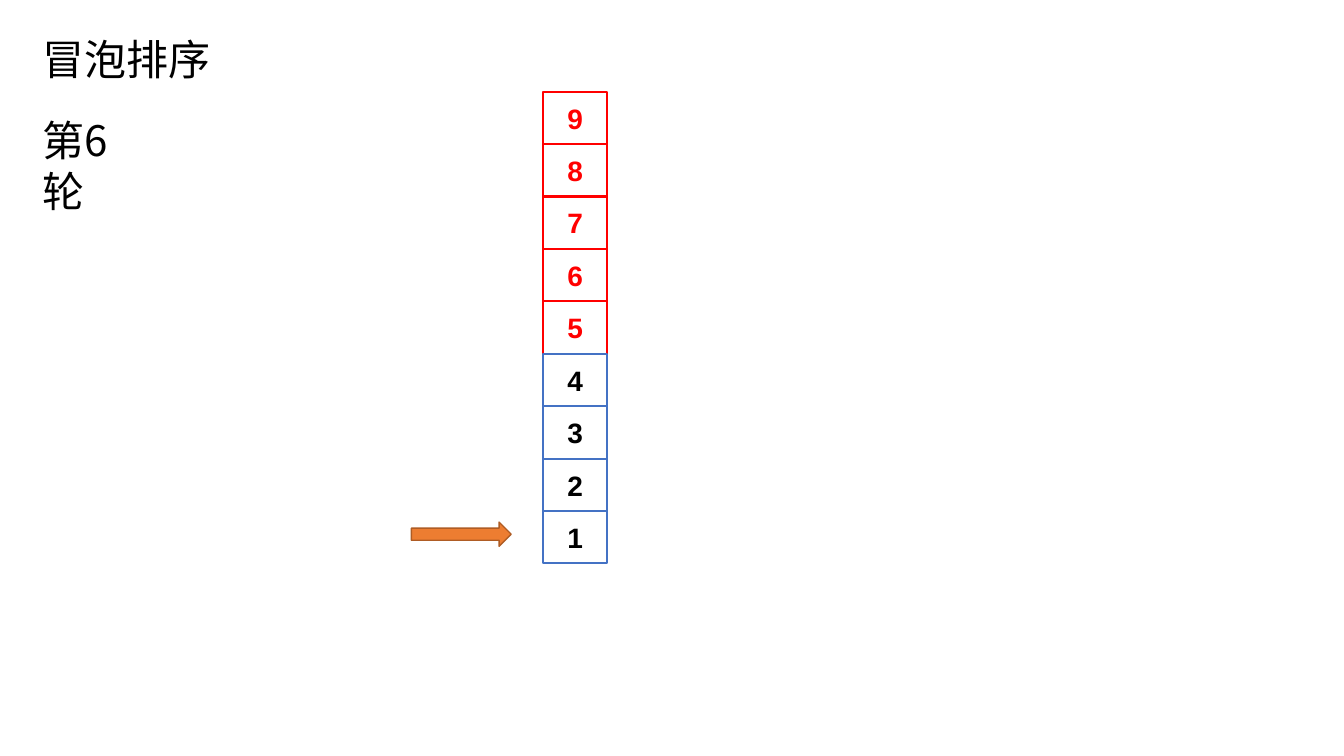
from lxml import etree
from pptx import Presentation
from pptx.dml.color import RGBColor
from pptx.enum.shapes import MSO_SHAPE
from pptx.enum.text import MSO_ANCHOR, PP_ALIGN
from pptx.oxml.ns import qn
from pptx.util import Inches, Pt

RECTANGLE, RIGHT_ARROW = MSO_SHAPE.RECTANGLE, MSO_SHAPE.RIGHT_ARROW
LEFT, CENTER = PP_ALIGN.LEFT, PP_ALIGN.CENTER
TOP, MIDDLE = MSO_ANCHOR.TOP, MSO_ANCHOR.MIDDLE

TITLE = "冒泡排序"
ROUND_LABEL = "第6轮"
STACK = [9, 8, 7, 6, 5, 4, 3, 2, 1]
SORTED_FROM = 5
COLORS = {"text": "000000", "sorted": "FF0000", "unsorted": "4472C4",
          "arrow": "ED7D31", "arrow_line": "AF5C24"}
HEADING_FONT = {"name": "Noto Sans CJK SC", "size": Pt(30), "bold": False}
NUMBER_FONT = {"name": "Arial", "size": Pt(20), "bold": True}
TITLE_BOX = (0.32, 0.28, 1.88, 0.61)
ROUND_BOX = (0.32, 1.09, 1.25, 0.61)
ARROW_BOX = (4.08, 5.18, 0.99, 0.24)
STACK_LEFT, STACK_TOP, CELL_WIDTH, CELL_HEIGHT = 5.39, 0.91, 0.63, 0.52


def write_text(shape, text, font, color, alignment, anchor, wrap):
    frame = shape.text_frame
    frame.text = text
    frame.word_wrap = wrap
    frame.vertical_anchor = anchor
    paragraph = frame.paragraphs[0]
    paragraph.alignment = alignment
    paragraph.line_spacing = 1.0
    run = paragraph.runs[0]
    for name, value in font.items():
        setattr(run.font, name, value)
    run.font.color.rgb = RGBColor.from_string(color)
    east_asian = etree.SubElement(run.font._element, qn("a:ea"))
    east_asian.set("typeface", font["name"])


def add_outlined_shape(slide, kind, box, line_color, line_width, fill_color=None):
    shape = slide.shapes.add_shape(kind, *map(Inches, box))
    shape.shadow.inherit = False
    if fill_color:
        shape.fill.solid()
        shape.fill.fore_color.rgb = RGBColor.from_string(fill_color)
    else:
        shape.fill.background()
    shape.line.color.rgb = RGBColor.from_string(line_color)
    shape.line.width = Pt(line_width)
    return shape


def main():
    presentation = Presentation()
    presentation.slide_width = Inches(13.33)
    presentation.slide_height = Inches(7.5)
    slide = presentation.slides.add_slide(presentation.slide_layouts[5])

    title = slide.shapes.title
    title.left, title.top, title.width, title.height = map(Inches, TITLE_BOX)
    write_text(title, TITLE, HEADING_FONT, COLORS["text"], LEFT, TOP, False)

    for row, number in enumerate(STACK):
        is_sorted = number >= SORTED_FROM
        box = (STACK_LEFT, STACK_TOP + row * CELL_HEIGHT, CELL_WIDTH, CELL_HEIGHT)
        line_color = COLORS["sorted" if is_sorted else "unsorted"]
        cell = add_outlined_shape(slide, RECTANGLE, box, line_color, 1.5)
        number_color = COLORS["sorted" if is_sorted else "text"]
        write_text(cell, str(number), NUMBER_FONT, number_color, CENTER, MIDDLE, True)

    add_outlined_shape(slide, RIGHT_ARROW, ARROW_BOX, COLORS["arrow_line"], 1, COLORS["arrow"])
    round_label = slide.shapes.add_textbox(*map(Inches, ROUND_BOX))
    write_text(round_label, ROUND_LABEL, HEADING_FONT, COLORS["text"], LEFT, TOP, True)

    presentation.save("out.pptx")


if __name__ == "__main__":
    main()
